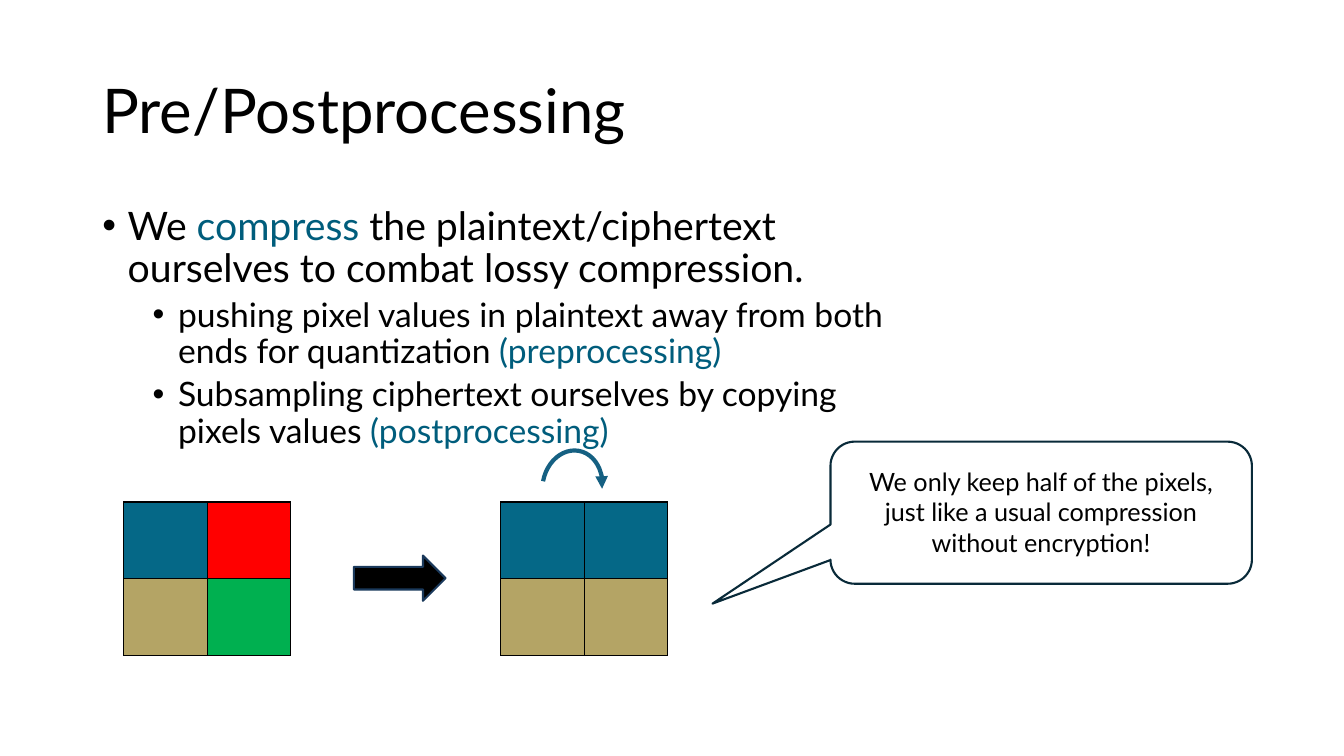
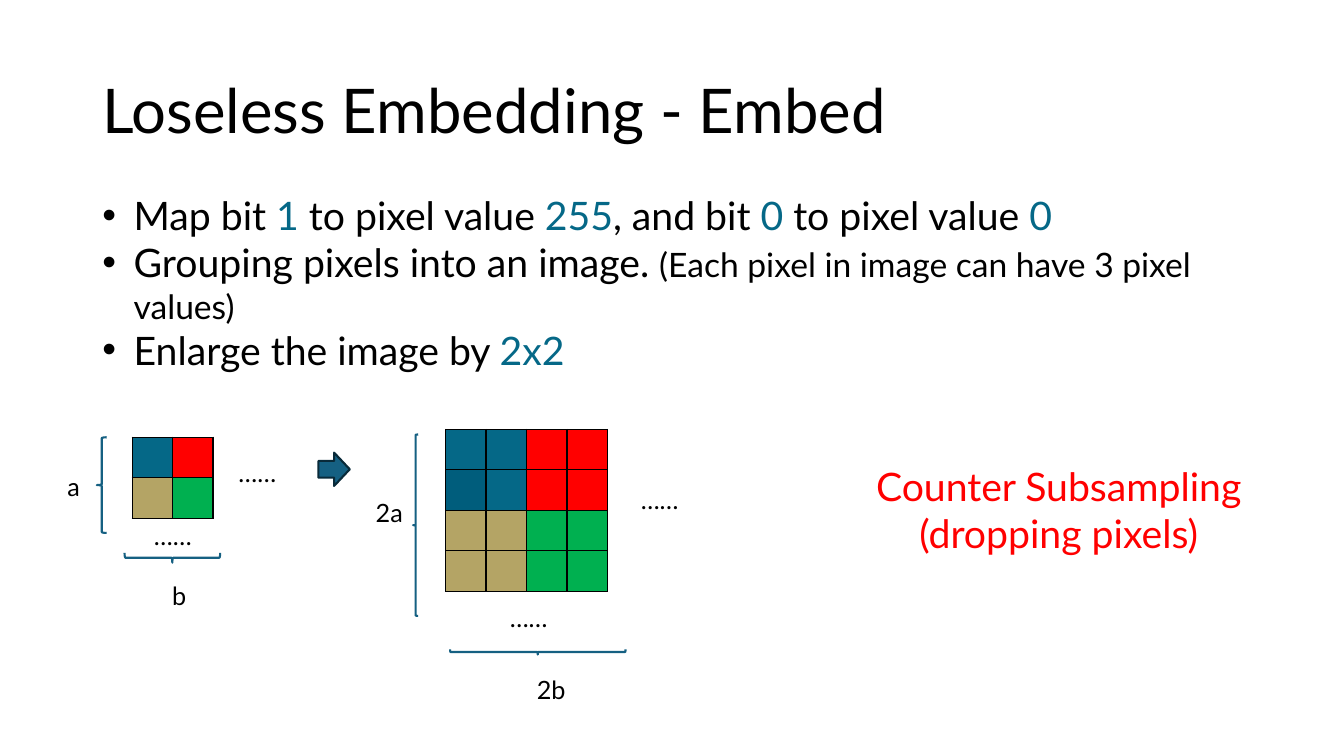
from dataclasses import dataclass

from lxml.etree import SubElement
from pptx import Presentation
from pptx.dml.color import RGBColor
from pptx.enum.shapes import MSO_SHAPE
from pptx.enum.text import MSO_ANCHOR, PP_ALIGN
from pptx.oxml.ns import qn
from pptx.util import Cm, Pt


@dataclass(frozen=True)
class Theme:
    font: str = "Lato"
    black: str = "000000"
    accent: str = "005D7C"
    teal: str = "056887"
    red: str = "FF0000"
    sand: str = "B4A465"
    green: str = "00B050"
    line: str = "156082"
    dark_line: str = "092A39"
    navy_line: str = "1A395B"
    title: int = 44
    body: int = 28
    detail: int = 24
    label: int = 18


THEME = Theme()


def add_span(para, text, *, size=THEME.body, color=THEME.black):
    span = para.add_run()
    span.text = text
    span.font.name = THEME.font
    span.font.size = Pt(size)
    span.font.color.rgb = RGBColor.from_string(color)


def add_bullet(para, left, hanging):
    properties = para._p.get_or_add_pPr()
    properties.set("marL", str(Cm(left)))
    properties.set("indent", str(-Cm(hanging)))
    SubElement(properties, qn("a:buFont"), typeface="Arial")
    SubElement(properties, qn("a:buChar"), char="•")


def add_borders(cell, color, width):
    properties = cell._tc.get_or_add_tcPr()
    for position, side in enumerate(("lnL", "lnR", "lnT", "lnB")):
        border = SubElement(properties, qn(f"a:{side}"), w=str(Pt(width)))
        fill = SubElement(border, qn("a:solidFill"))
        SubElement(fill, qn("a:srgbClr"), val=color)
        properties.remove(border)
        properties.insert(position, border)


class SlideWriter:
    def __init__(self, deck, theme):
        self.deck = deck
        self.theme = theme
        self.page = None

    def start(self, title):
        self.page = self.deck.slides.add_slide(self.deck.slide_layouts[6])
        frame = self.frame(2.33, 1.02, 29.21, 3.68)
        frame.vertical_anchor = MSO_ANCHOR.MIDDLE
        para = frame.paragraphs[0]
        para.line_spacing = 0.9
        add_span(para, title, size=self.theme.title)

    def frame(self, left, top, width, height):
        box = self.page.shapes.add_textbox(Cm(left), Cm(top), Cm(width), Cm(height))
        box.text_frame.word_wrap = True
        return box.text_frame

    def text(self, lines, left, top, width, height, align=PP_ALIGN.CENTER, **style):
        frame = self.frame(left, top, width, height)
        for index, line in enumerate(lines):
            para = frame.add_paragraph() if index else frame.paragraphs[0]
            para.alignment = align
            add_span(para, line, **style)

    def label(self, text, left, top, width, align=PP_ALIGN.LEFT):
        self.text([text], left, top, width, 1.02, align, size=self.theme.label)

    def ellipsis(self, left, top):
        self.label("……", left, top, 8.71, PP_ALIGN.CENTER)

    def bullets(self, items, left, top, width, height, spacing=1.0):
        frame = self.frame(left, top, width, height)
        for index, (indent, hanging, before, spans) in enumerate(items):
            para = frame.add_paragraph() if index else frame.paragraphs[0]
            para.line_spacing = spacing
            if index:
                para.space_before = Pt(before)
            add_bullet(para, indent, hanging)
            for text, style in spans:
                add_span(para, text, **style)

    def pixels(self, colors, left, top, width, height):
        rows, columns = len(colors), len(colors[0])
        graphic = self.page.shapes.add_table(
            rows, columns, Cm(left), Cm(top), Cm(width * columns), Cm(height * rows))
        table = graphic.table
        table.first_row = table.horz_banding = False
        for column in table.columns:
            column.width = Cm(width)
        for row, row_colors in zip(table.rows, colors):
            row.height = Cm(height)
            for cell, color in zip(row.cells, row_colors):
                cell.margin_top = cell.margin_bottom = 0
                cell.fill.solid()
                cell.fill.fore_color.rgb = RGBColor.from_string(color)
                add_borders(cell, self.theme.black, 1)

    def shape(self, kind, left, top, width, height, *, line, fill=None,
              weight=1.5, rotation=0, adjustments=()):
        shape = self.page.shapes.add_shape(kind, Cm(left), Cm(top), Cm(width), Cm(height))
        shape.shadow.inherit = False
        shape.rotation = rotation
        for index, value in enumerate(adjustments):
            shape.adjustments[index] = value
        if fill:
            shape.fill.solid()
            shape.fill.fore_color.rgb = RGBColor.from_string(fill)
        else:
            shape.fill.background()
        shape.line.color.rgb = RGBColor.from_string(line)
        shape.line.width = Pt(weight)
        return shape

    def curved_arrow(self, left, top, width, height, rotation, adjustments):
        arc = self.shape(MSO_SHAPE.ARC, left, top, width, height, line=self.theme.line,
                         weight=3, rotation=rotation, adjustments=adjustments)
        SubElement(arc.line._get_or_add_ln(), qn("a:tailEnd"), type="triangle")

    def brace(self, left, top, width, height, rotation=0):
        self.shape(MSO_SHAPE.LEFT_BRACE, left, top, width, height,
                   line=self.theme.line, rotation=rotation)


def build_processing(writer):
    theme = writer.theme
    accent = {"color": theme.accent}
    detail = {"size": theme.detail}
    writer.start("Pre/Postprocessing")
    writer.bullets([
        (0.64, 0.64, 10, [
            ("We ", {}), ("compress", accent),
            (" the plaintext/ciphertext ourselves to combat lossy compression.", {})]),
        (1.91, 0.64, 5, [
            ("pushing pixel values in plaintext away from both ends for quantization ", detail),
            ("(preprocessing)", detail | accent)]),
        (1.91, 0.64, 5, [
            ("Subsampling ciphertext ourselves by copying pixels values ", detail),
            ("(postprocessing)", detail | accent)]),
    ], 2.33, 5.08, 20.6, 12.09, spacing=0.9)
    before = [[theme.teal, theme.red], [theme.sand, theme.green]]
    after = [[theme.teal] * 2, [theme.sand] * 2]
    for left, colors in ((3.12, before), (12.62, after)):
        writer.pixels(colors, left, 12.65, 2.1, 1.93)
    writer.shape(MSO_SHAPE.RIGHT_ARROW, 8.92, 14, 2.31, 1.14,
                 fill=theme.black, line=theme.navy_line)
    writer.curved_arrow(13.51, 11.51, 1.83, 1.5, 280.3, (162, 50.36))
    writer.shape(MSO_SHAPE.ROUNDED_RECTANGULAR_CALLOUT, 20.93, 11.13, 10.62, 3.58,
                 line=theme.dark_line, adjustments=(-0.78, 0.64, 0.17))
    writer.text(["We only keep half of the pixels, just like a usual compression "
                 "without encryption!"], 21.46, 11.63, 9.55, 2.57, size=theme.label)


def build_embedding(writer):
    theme = writer.theme
    teal = {"color": theme.teal}
    writer.start("Loseless Embedding - Embed")
    lines = [
        [("Map bit ", {}), ("1", teal), (" to pixel value ", {}), ("255", teal),
         (", and bit ", {}), ("0", teal), (" to pixel value ", {}), ("0", teal)],
        [("Grouping pixels into an image. ", {}),
         ("(Each pixel in image can have 3 pixel values)", {"size": theme.detail})],
        [("Enlarge the image by ", {}), ("2x2", teal)],
    ]
    writer.bullets([(0.79, 0.79, 0, spans) for spans in lines], 2.33, 4.7, 30.5, 3.84)

    cell = 1.02
    image = [[theme.teal, theme.red], [theme.sand, theme.green]]
    writer.pixels(image, 3.33, 11.02, cell, cell)
    for row, colors in enumerate(image):
        for column, color in enumerate(colors):
            block = [[color] * 2, [color] * 2]
            if color == theme.teal:
                block[1][0] = theme.accent
            writer.pixels(block, 11.23 + 2 * cell * column, 10.82 + 2 * cell * row, cell, cell)

    writer.shape(MSO_SHAPE.DOWN_ARROW, 8, 11.43, 0.84, 0.79,
                 fill=theme.line, line=theme.dark_line, rotation=270)
    for left, top in ((2.13, 11.4), (0, 12.98), (12.27, 12.09), (8.97, 15.06)):
        writer.ellipsis(left, top)
    for brace in ((2.44, 11.02, 0.25, 2.41), (4.22, 12.85, 0.25, 2.41, 270),
                  (10.41, 10.95, 0.13, 4.57), (13.49, 14.22, 0.13, 4.42, 270)):
        writer.brace(*brace)
    for label in (("a", 1.45, 11.76, 0.89), ("b", 4.09, 14.5, 0.89),
                  ("2a", 9.22, 12.4, 1.3), ("2b", 13.28, 16.87, 1.37)):
        writer.label(*label)
    writer.text(["Counter Subsampling", "(dropping pixels)"],
                21.58, 11.53, 10.2, 2.64, color=theme.red)


def main():
    deck = Presentation()
    deck.slide_width, deck.slide_height = Cm(33.87), Cm(19.05)
    writer = SlideWriter(deck, THEME)
    build_processing(writer)
    build_embedding(writer)
    deck.save("out.pptx")


if __name__ == "__main__":
    main()
